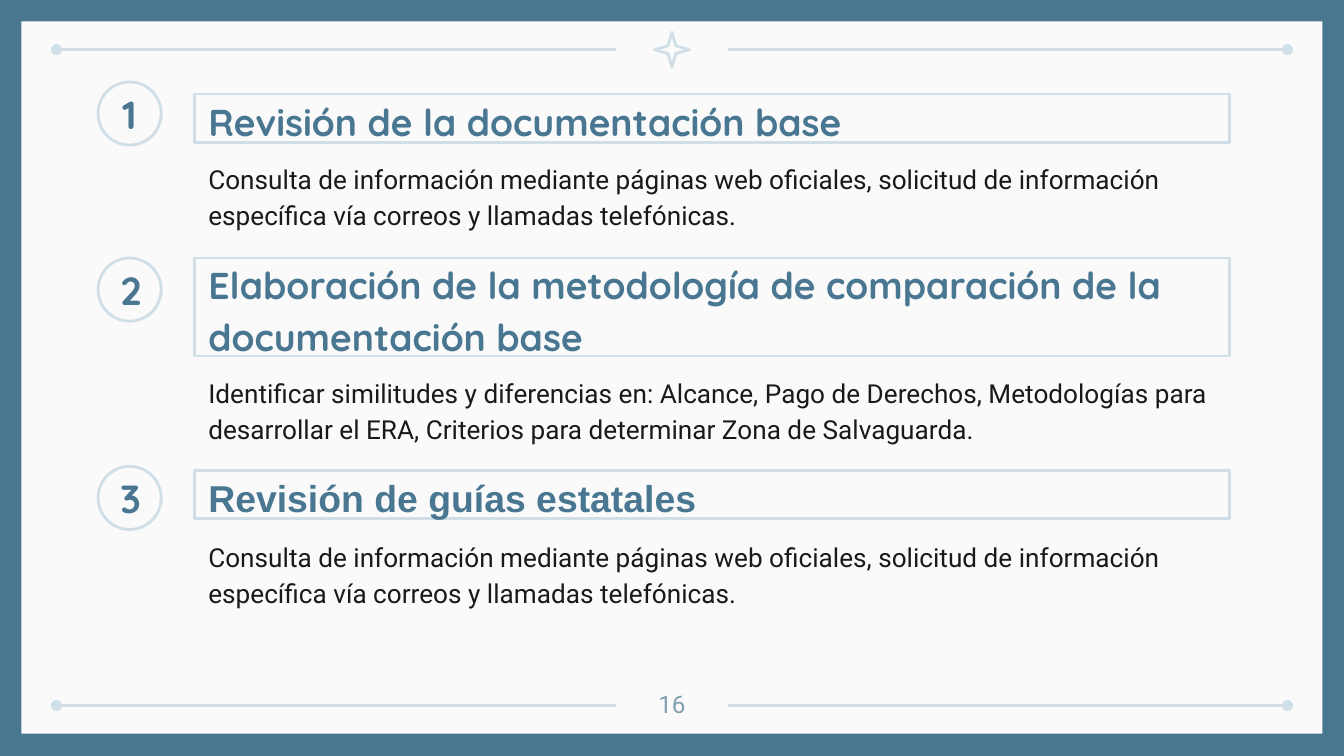
from copy import deepcopy
from lxml.etree import SubElement
from pptx import Presentation
from pptx.dml.color import RGBColor
from pptx.enum.shapes import MSO_CONNECTOR as Link, MSO_SHAPE as Form
from pptx.enum.text import MSO_ANCHOR as Anchor, MSO_AUTO_SIZE as Fit, PP_ALIGN as Align
from pptx.oxml.ns import qn
from pptx.util import Inches, Pt

HUES = {"frame": "497792", "page": "FAFAFA", "line": "CFDEE7",
        "text": "191919", "number": "809FAF"}
HUES = {name: RGBColor.from_string(code) for name, code in HUES.items()}

deck = Presentation()
deck.slide_width, deck.slide_height = Inches(10), Inches(5.625)
CELL = deck.slide_width // 100  # the slide is a grid of 100 square columns
slide = deck.slides.add_slide(deck.slide_layouts[0])
shapes = slide.shapes


def grid(*cells):
    return [round(cell * CELL) for cell in cells]


def write(shape, text, size, face, hue, align=Align.LEFT, anchor=Anchor.TOP,
          bold=False, lead=1.0):
    frame = shape.text_frame
    frame.text, frame.word_wrap, frame.auto_size = text, True, Fit.NONE
    frame.vertical_anchor = anchor
    frame.margin_left = frame.margin_right = CELL
    frame.margin_top = frame.margin_bottom = CELL
    par = frame.paragraphs[0]
    par.alignment, par.line_spacing, par.space_before = align, lead, Pt(0)
    font = par.font
    font.size, font.name, font.bold = Pt(size), face, bold
    font.color.rgb = HUES[hue]


# Framed page
slide.background.fill.solid()
slide.background.fill.fore_color.rgb = HUES["frame"]
page = shapes.add_shape(Form.RECTANGLE, *grid(1.6, 1.6, 96.8, 53))
page.shadow.inherit = False
page.fill.solid()
page.fill.fore_color.rgb = HUES["page"]
page.line.fill.background()

# Rules with a dot at the outer end
for y in (3.7, 52.5):
    for x, end, dot in ((4.2, 45.8, "a:headEnd"), (54.2, 95.8, "a:tailEnd")):
        rule = shapes.add_connector(Link.STRAIGHT, *grid(x, y, end, y))
        rule.line.color.rgb, rule.line.width = HUES["line"], Pt(1.5)
        SubElement(rule.line._get_or_add_ln(), qn(dot), type="oval")
        SubElement(rule.element.spPr, qn("a:effectLst"))

star = shapes.add_shape(Form.STAR_4_POINT, *grid(48.7, 2.4, 2.6, 2.6))
star.adjustments[0] = 0.157
outlined = [star]

# Steps: title, detail, title face, badge top, title top and height, detail top
search = ("Consulta de información mediante páginas web oficiales, solicitud de "
          "información específica vía correos y llamadas telefónicas.")
compare = ("Identificar similitudes y diferencias en: Alcance, Pago de Derechos, "
           "Metodologías para desarrollar el ERA, Criterios para determinar Zona "
           "de Salvaguarda.")
steps = [
    ("Revisión de la documentación base", search, "Quicksand", 6.1, 7, 3.6, 10.8),
    ("Elaboración de la metodología de comparación de la documentación base",
     compare, "Quicksand", 19.2, 19.2, 7.3, 26.7),
    ("Revisión de guías estatales", search, "Arial", 34.7, 35, 3.6, 38.9),
]

# The layout has one subtitle placeholder; every title and detail is a copy of it
model = slide.placeholders[1].element
tree = model.getparent()
for shape in list(slide.placeholders):
    tree.remove(shape.element)

for num, (title, detail, face, spot, top, tall, low) in enumerate(steps, 1):
    pair = []
    for role, y, high in (("Title", top, tall), ("Detail", low, 5.8)):
        tree.append(deepcopy(model))
        box = shapes[-1]
        box.element.nvSpPr.cNvPr.set("id", str(100 + len(shapes)))
        box.name = f"{role} {num}"
        box.left, box.top, box.width, box.height = grid(14.5, y, 77, high)
        pair.append(box)
    head, body = pair
    write(head, title, 20, face, "frame", anchor=Anchor.MIDDLE, bold=True, lead=1.15)
    write(body, detail, 14, "Roboto", "text", lead=1.15)

    badge = shapes.add_shape(Form.OVAL, *grid(7.3, spot, 4.7, 4.7))
    badge.shadow.inherit = False
    write(badge, str(num), 21, "Quicksand", "frame", Align.CENTER, Anchor.MIDDLE, True)
    outlined += [head, badge]

star.shadow.inherit = False
for shape in outlined:
    shape.fill.background()
    shape.line.color.rgb, shape.line.width = HUES["line"], Pt(1.5)

folio = shapes.add_textbox(*grid(47, 50.3, 6, 3.6))
write(folio, "16", 13, "Roboto", "number", Align.CENTER)

deck.save("out.pptx")
